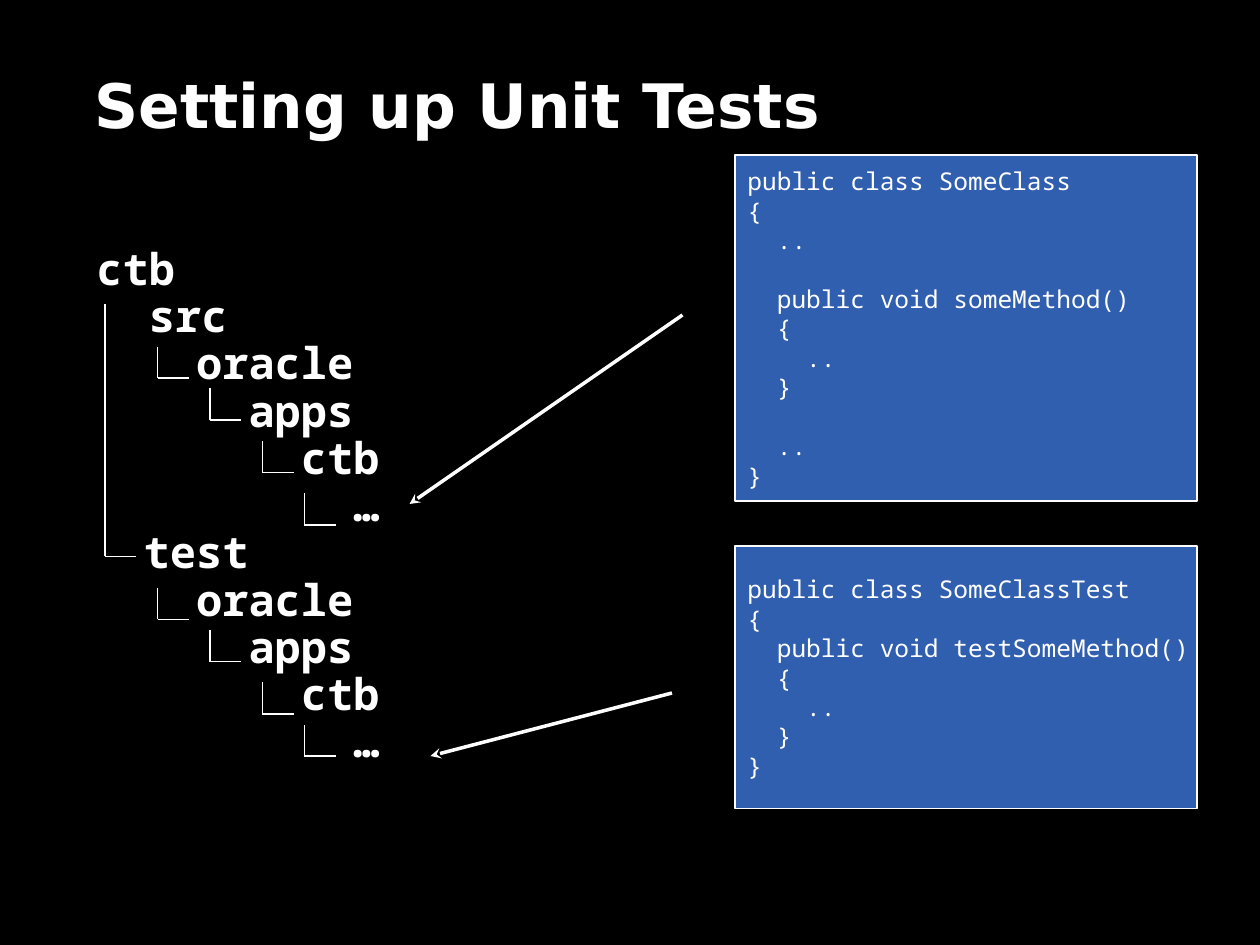
"""Build the "Setting up Unit Tests" slide: a source tree beside two code boxes."""
import pptx
import pptx.dml.color
import pptx.enum.shapes
import pptx.enum.text
import pptx.oxml
import pptx.oxml.ns
import pptx.util

Pt = pptx.util.Pt
ALIGN = pptx.enum.text.PP_ALIGN
ANCHOR = pptx.enum.text.MSO_ANCHOR
SHAPE = pptx.enum.shapes.MSO_SHAPE
STRAIGHT = pptx.enum.shapes.MSO_CONNECTOR.STRAIGHT

TREE = ["ctb", """  src
  oracle
    apps
      ctb
        …
test
  oracle
    apps
      ctb
        …"""]

SOME_CLASS = """public class SomeClass
{
  ..

  public void someMethod()
  {
    ..
  }

  ..
}"""

SOME_CLASS_TEST = """public class SomeClassTest
{
  public void testSomeMethod()
  {
    ..
  }
}"""


def rgb(value):
    return pptx.dml.color.RGBColor.from_string(value)


def apply(obj, values):
    for name, value in values.items():
        setattr(obj, name, value)


def element(tag, attributes=""):
    return pptx.oxml.parse_xml(
        f"<{tag} {pptx.oxml.ns.nsdecls('a')} {attributes}/>")


class Deck:
    white, blue, black = "FFFFFF", "315FAF", "000000"
    title_font = {"name": "DejaVu Sans", "size": Pt(35), "bold": True}
    tree_font = {"name": "Noto Sans Mono", "size": Pt(25), "bold": True}
    code_font = {"name": "Noto Sans Mono", "size": Pt(14), "bold": False}
    no_inset = dict.fromkeys(
        ("margin_left", "margin_top", "margin_right", "margin_bottom"), 0)

    def __init__(self, prs):
        self.s = prs.slides.add_slide(prs.slide_layouts[6])
        fill = self.s.background.fill
        fill.solid()
        fill.fore_color.rgb = rgb(self.black)

    def put_text(self, tf, paragraphs, font, para):
        for i, text in enumerate(paragraphs):
            p = tf.add_paragraph() if i else tf.paragraphs[0]
            apply(p, para)
            for j, line in enumerate(text.split("\n")):
                if j:
                    p.add_line_break()
                r = p.add_run()
                r.text = line
                apply(r.font, font)
                r.font.color.rgb = rgb(self.white)

    def box(self, x, y, w, h):
        sp = self.s.shapes.add_textbox(Pt(x), Pt(y), Pt(w), Pt(h))
        sp.text_frame.word_wrap = True
        return sp.text_frame

    def title(self, text, *at):
        tf = self.box(*at)
        apply(tf, {**self.no_inset, "vertical_anchor": ANCHOR.MIDDLE})
        self.put_text(tf, [text], self.title_font, {"line_spacing": 0.85})

    def tree(self, paragraphs, *at):
        tf = self.box(*at)
        self.put_text(tf, paragraphs, self.tree_font, {"line_spacing": 0.9})
        for p in tf.paragraphs:
            for name, value in {"marL": Pt(27), "indent": Pt(-27)}.items():
                p._p.get_or_add_pPr().set(name, str(int(value)))

    def code(self, text, x, y, w, h):
        sp = self.s.shapes.add_shape(SHAPE.RECTANGLE, Pt(x), Pt(y), Pt(w), Pt(h))
        sp.shadow.inherit = False
        sp.fill.solid()
        sp.fill.fore_color.rgb = rgb(self.blue)
        sp.line.color.rgb = rgb(self.white)
        sp.line.width = Pt(1)
        tf = sp.text_frame
        apply(tf, {"word_wrap": False, "vertical_anchor": ANCHOR.MIDDLE})
        self.put_text(tf, text.split("\n"), self.code_font,
                      {"alignment": ALIGN.JUSTIFY})

    def line(self, x1, y1, x2, y2, width=1):
        sp = self.s.shapes.add_connector(STRAIGHT, Pt(x1), Pt(y1), Pt(x2), Pt(y2))
        sp.line.color.rgb = rgb(self.white)
        sp.line.width = Pt(width)
        sp._element.spPr.append(element("a:effectLst"))
        return sp

    def arrow(self, *ends):
        sp = self.line(*ends, width=2)
        ln = sp._element.spPr.find(pptx.oxml.ns.qn("a:ln"))
        ln.append(element("a:tailEnd", 'type="stealth"'))

    def elbow(self, x, top, height=18, reach=18):
        self.line(x, top, x, top + height)
        self.line(x, top + height, x + reach, top + height)


def main():
    prs = pptx.Presentation()
    apply(prs, {"slide_width": Pt(720), "slide_height": Pt(540)})
    deck = Deck(prs)
    deck.title("Setting up Unit Tests", 54, 42, 588, 42)
    deck.tree(TREE, 48, 138, 303, 321)
    deck.arrow(390, 180, 234, 288)
    deck.code(SOME_CLASS, 420, 88.5, 264, 198)
    deck.arrow(384, 396, 246, 432)
    deck.code(SOME_CLASS_TEST, 420, 312, 264, 150)
    deck.elbow(60, 174, height=144)
    for tops in ((198, 222, 252, 282), (336, 360, 390, 414)):
        for x, top in zip((90, 120, 150, 174), tops):
            deck.elbow(x, top)
    prs.save("out.pptx")


if __name__ == "__main__":
    main()
